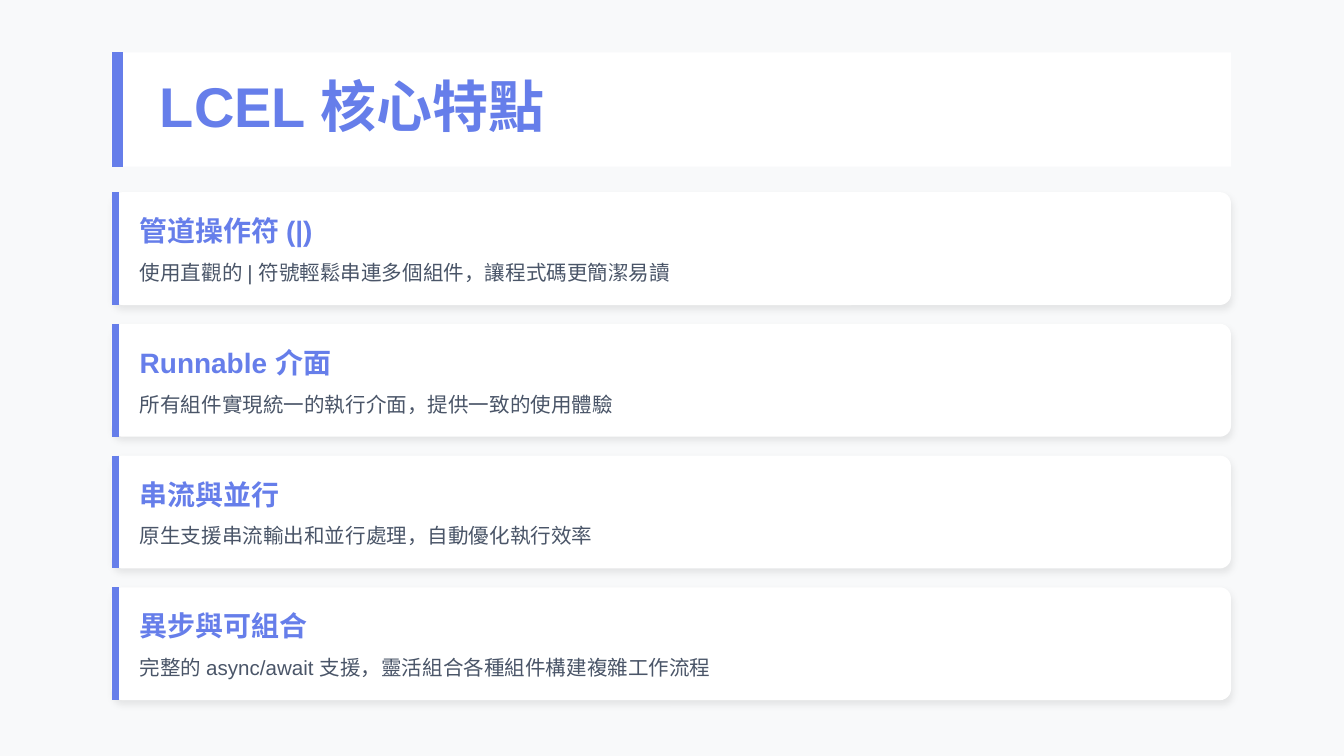
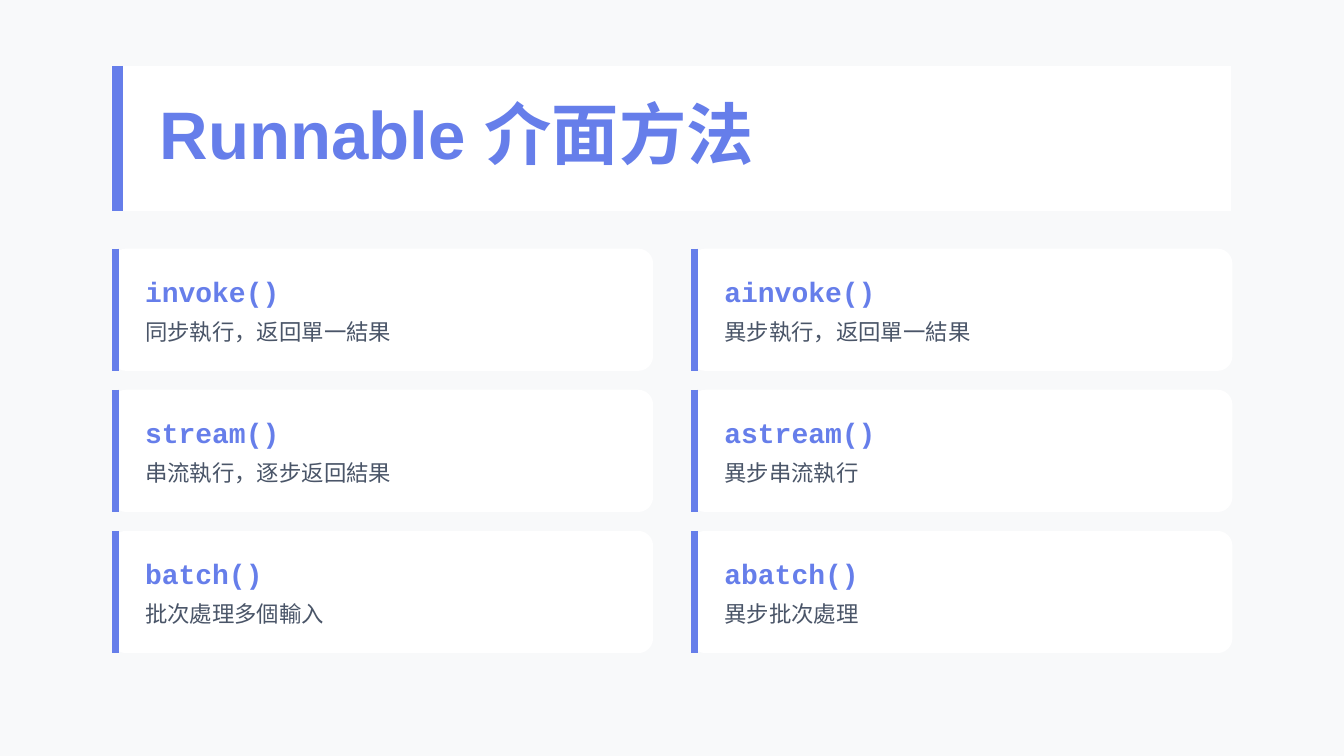
from dataclasses import dataclass

from lxml import etree
from pptx import Presentation
from pptx import util as u
from pptx.dml.color import RGBColor
from pptx.enum import shapes, text
from pptx.oxml import ns

# Shared colours, fonts and margins
BACKGROUND = RGBColor(0xF8, 0xF9, 0xFA)
WHITE = RGBColor(0xFF, 0xFF, 0xFF)
ACCENT = RGBColor(0x66, 0x7E, 0xEA)
BODY = RGBColor(0x4A, 0x55, 0x68)
SANS = "Arial"
MONO = "Courier New"
SLIDE_WIDTH = u.Inches(10)
SLIDE_HEIGHT = SLIDE_WIDTH * 9 // 16
LEFT = 0.83
CONTENT_WIDTH = 8.33
TITLE_LEFT = 1.19
TITLE_WIDTH = 7.85


@dataclass(frozen=True)
class Header:
    title: str
    top: float
    height: float
    text_top: float
    text_height: float
    size: float


@dataclass(frozen=True)
class TextStyle:
    offset: float  # below the top of the card
    height: float
    size: float
    color: RGBColor
    font: str = SANS
    bold: bool = False
    space_after: float | None = None
    line_spacing: float | None = None


@dataclass(frozen=True)
class CardStyle:
    width: float
    height: float
    corner: float
    text_indent: float
    text_width: float
    heading: TextStyle
    detail: TextStyle
    shadow: bool = False


@dataclass(frozen=True)
class Grid:
    top: float
    rows: int
    row_pitch: float
    column_pitch: float = 0


@dataclass(frozen=True)
class Card:
    heading: str
    detail: str


# Slide 1: features
FEATURES_HEADER = Header("LCEL 核心特點", 0.39, 0.85, 0.53, 0.57, 30)
FEATURE_STYLE = CardStyle(
    CONTENT_WIDTH, 0.84, 0.099, 0.21, 8.14,
    heading=TextStyle(0.16, 0.28, 15, ACCENT, bold=True, space_after=4),
    detail=TextStyle(0.49, 0.2, 11, BODY, line_spacing=14.3),
    shadow=True,
)
FEATURE_GRID = Grid(top=1.43, rows=4, row_pitch=0.98)
FEATURES = [
    Card("管道操作符 (|)", "使用直觀的 | 符號輕鬆串連多個組件，讓程式碼更簡潔易讀"),
    Card("Runnable 介面", "所有組件實現統一的執行介面，提供一致的使用體驗"),
    Card("串流與並行", "原生支援串流輸出和並行處理，自動優化執行效率"),
    Card("異步與可組合", "完整的 async/await 支援，靈活組合各種組件構建複雜工作流程"),
]

# Slide 2: methods, the synchronous column first
METHODS_HEADER = Header("Runnable 介面方法", 0.49, 1.08, 0.69, 0.67, 36)
METHOD_STYLE = CardStyle(
    4.03, 0.91, 0.122, 0.25, 3.66,
    heading=TextStyle(0.19, 0.24, 15, ACCENT, MONO, bold=True, space_after=5),
    detail=TextStyle(0.5, 0.22, 12, BODY, line_spacing=15.6),
)
METHOD_GRID = Grid(top=1.85, rows=3, row_pitch=1.05, column_pitch=4.31)
METHODS = [
    Card("invoke()", "同步執行，返回單一結果"),
    Card("stream()", "串流執行，逐步返回結果"),
    Card("batch()", "批次處理多個輸入"),
    Card("ainvoke()", "異步執行，返回單一結果"),
    Card("astream()", "異步串流執行"),
    Card("abatch()", "異步批次處理"),
]


def add_panel(slide, kind, left: float, top: float, width: float, height: float):
    panel = slide.shapes.add_shape(
        kind, u.Inches(left), u.Inches(top), u.Inches(width), u.Inches(height))
    panel.shadow.inherit = False
    panel.fill.solid()
    panel.fill.fore_color.rgb = WHITE
    panel.line.fill.background()
    return panel


def add_soft_shadow(panel) -> None:
    effects = panel.element.spPr.find(ns.qn("a:effectLst"))
    shadow = etree.SubElement(
        effects, ns.qn("a:outerShdw"), blurRad=str(u.Pt(4)), dist=str(u.Pt(2)),
        dir=str(90 * 60000), algn="ctr", rotWithShape="0")
    color = etree.SubElement(shadow, ns.qn("a:srgbClr"), val="000000")
    etree.SubElement(color, ns.qn("a:alpha"), val="8000")


def add_bar(slide, left: float, top: float, height: float, weight: float) -> None:
    """Draw a vertical accent line whose left edge lies at left."""
    x = u.Inches(left) + u.Pt(weight / 2)
    bar = slide.shapes.add_connector(
        shapes.MSO_CONNECTOR.STRAIGHT, x, u.Inches(top), x, u.Inches(top + height))
    bar.line.color.rgb = ACCENT
    bar.line.width = u.Pt(weight)
    etree.SubElement(bar.element.spPr, ns.qn("a:effectLst"))


def write_text(frame, words: str, style: TextStyle) -> None:
    frame.margin_left = frame.margin_right = 0
    frame.margin_top = frame.margin_bottom = 0
    frame.word_wrap = True
    frame.auto_size = text.MSO_AUTO_SIZE.NONE
    frame.vertical_anchor = text.MSO_ANCHOR.TOP
    paragraph = frame.paragraphs[0]
    paragraph.text = words
    paragraph.alignment = text.PP_ALIGN.LEFT
    if style.space_after is not None:
        paragraph.space_after = u.Pt(style.space_after)
    if style.line_spacing is not None:
        paragraph.line_spacing = u.Pt(style.line_spacing)
    paragraph.font.name = style.font
    paragraph.font.size = u.Pt(style.size)
    paragraph.font.bold = style.bold
    paragraph.font.color.rgb = style.color


def add_header(slide, header: Header) -> None:
    band = add_panel(slide, shapes.MSO_SHAPE.RECTANGLE,
                     LEFT, header.top, CONTENT_WIDTH, header.height)
    add_bar(slide, LEFT, header.top, header.height, 6)
    title = slide.shapes.title
    title.element.addprevious(band.element)  # keep the band behind the title
    title.left, title.top = u.Inches(TITLE_LEFT), u.Inches(header.text_top)
    title.width, title.height = u.Inches(TITLE_WIDTH), u.Inches(header.text_height)
    write_text(title.text_frame, header.title,
               TextStyle(0, header.text_height, header.size, ACCENT, bold=True))


def add_card(slide, card: Card, style: CardStyle, left: float, top: float) -> None:
    panel = add_panel(slide, shapes.MSO_SHAPE.ROUNDED_RECTANGLE,
                      left, top, style.width, style.height)
    panel.adjustments[0] = style.corner
    if style.shadow:
        add_soft_shadow(panel)
    add_bar(slide, left, top, style.height, 3.75)
    for words, part in ((card.heading, style.heading), (card.detail, style.detail)):
        box = slide.shapes.add_textbox(
            u.Inches(left + style.text_indent), u.Inches(top + part.offset),
            u.Inches(style.text_width), u.Inches(part.height))
        write_text(box.text_frame, words, part)


def add_card_slide(deck, header: Header, cards: list[Card],
                   style: CardStyle, grid: Grid) -> None:
    slide = deck.slides.add_slide(deck.slide_layouts[5])
    slide.background.fill.solid()
    slide.background.fill.fore_color.rgb = BACKGROUND
    add_header(slide, header)
    for index, card in enumerate(cards):
        column, row = divmod(index, grid.rows)
        add_card(slide, card, style,
                 LEFT + column * grid.column_pitch, grid.top + row * grid.row_pitch)


def main() -> None:
    deck = Presentation()
    deck.slide_width, deck.slide_height = SLIDE_WIDTH, SLIDE_HEIGHT
    add_card_slide(deck, FEATURES_HEADER, FEATURES, FEATURE_STYLE, FEATURE_GRID)
    add_card_slide(deck, METHODS_HEADER, METHODS, METHOD_STYLE, METHOD_GRID)
    deck.save("out.pptx")


if __name__ == "__main__":
    main()
